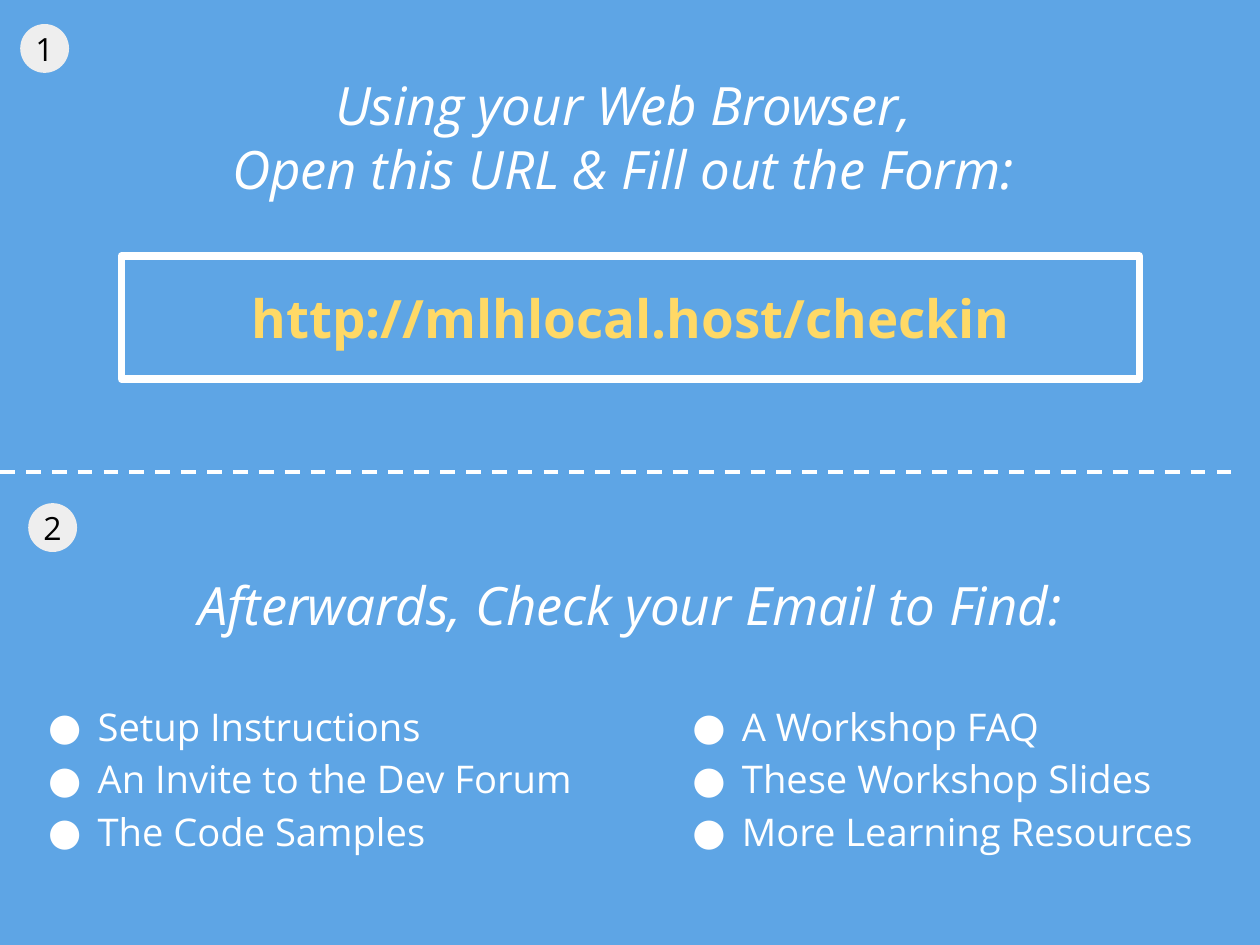
from lxml.etree import SubElement
from pptx import Presentation
from pptx.dml.color import RGBColor
from pptx.enum.dml import MSO_LINE
from pptx.enum.shapes import MSO_CONNECTOR, MSO_SHAPE
from pptx.enum.text import MSO_ANCHOR, MSO_AUTO_SIZE, PP_ALIGN
from pptx.oxml.ns import qn
from pptx.util import Cm, Pt

BLUE, WHITE, YELLOW, GREY, BLACK = "5EA5E5", "FFFFFF", "FFD966", "EEEEEE", "000000"
SLIDE_WIDTH, SLIDE_HEIGHT = 36.12, 27.1
MARGIN, HEADING_WIDTH, HEADING_HEIGHT = 0.64, 34.85, 3.3
LIST_TOP, LIST_WIDTH, LIST_HEIGHT = 18.95, 16.38, 6.55
BADGE_SIZE = 1.4

OPEN_FORM = ["Using your Web Browser, ", "Open this URL & Fill out the Form: "]
CHECK_EMAIL = ["Afterwards, Check your Email to Find:"]
FORM_URL = ["http://mlhlocal.host/checkin"]
EMAIL_CONTENTS = [
    ["Setup Instructions", "An Invite to the Dev Forum", "The Code Samples"],
    ["A Workshop FAQ", "These Workshop Slides", "More Learning Resources"],
]
BADGES = [("1", 0.58, 0.69), ("2", 0.81, 14.43)]


def color(value):
    return RGBColor.from_string(value)


def add_bullet(paragraph):
    paragraph.line_spacing = 1.15
    properties = paragraph._p.get_or_add_pPr()
    properties.set("marL", str(Cm(1.8)))
    properties.set("indent", str(Cm(-1.42)))
    bullet_color = SubElement(properties, qn("a:buClr"))
    SubElement(bullet_color, qn("a:srgbClr"), val=WHITE)
    SubElement(properties, qn("a:buFont"), typeface="Open Sans")
    SubElement(properties, qn("a:buChar"), char="●")


def write(shape, lines, size=43, fill=WHITE, bold=False, italic=False,
          align=PP_ALIGN.CENTER, bullets=False, inset=0.36):
    frame = shape.text_frame
    frame.auto_size = MSO_AUTO_SIZE.NONE
    frame.word_wrap = True
    frame.vertical_anchor = MSO_ANCHOR.MIDDLE
    frame.margin_left = frame.margin_right = Cm(inset)
    frame.margin_top = frame.margin_bottom = Cm(inset)
    for index, line in enumerate(lines):
        paragraph = frame.add_paragraph() if index else frame.paragraphs[0]
        paragraph.alignment = align
        if bullets:
            add_bullet(paragraph)
        run = paragraph.add_run()
        run.text = line
        run.font.name = "Open Sans"
        run.font.size = Pt(size)
        run.font.bold = bold
        run.font.italic = italic
        run.font.color.rgb = color(fill)


def add_filled_shape(slide, kind, left, top, width, height, fill):
    shape = slide.shapes.add_shape(kind, Cm(left), Cm(top), Cm(width), Cm(height))
    shape.shadow.inherit = False
    shape.fill.solid()
    shape.fill.fore_color.rgb = color(fill)
    shape.line.fill.background()
    return shape


def add_text_box(slide, left, top, width, height):
    return slide.shapes.add_textbox(Cm(left), Cm(top), Cm(width), Cm(height))


def main():
    presentation = Presentation()
    presentation.slide_width = Cm(SLIDE_WIDTH)
    presentation.slide_height = Cm(SLIDE_HEIGHT)
    slide = presentation.slides.add_slide(presentation.slide_layouts[5])
    slide.background.fill.solid()
    slide.background.fill.fore_color.rgb = color(BLUE)

    title = slide.shapes.title
    title.left, title.top = Cm(MARGIN), Cm(2.26)
    title.width, title.height = Cm(HEADING_WIDTH), Cm(HEADING_HEIGHT)
    write(title, OPEN_FORM, italic=True)

    url_box = add_filled_shape(slide, MSO_SHAPE.RECTANGLE, 3.48, 7.34, 29.18, 3.53, BLUE)
    url_box.line.color.rgb = color(WHITE)
    url_box.line.width = Pt(6)
    SubElement(url_box.line._get_or_add_ln(), qn("a:round"))
    write(url_box, FORM_URL, fill=YELLOW, bold=True)

    divider = slide.shapes.add_connector(
        MSO_CONNECTOR.STRAIGHT, Cm(0), Cm(13.54), Cm(35.31), Cm(13.54))
    divider.line.color.rgb = color(WHITE)
    divider.line.width = Pt(3)
    divider.line.dash_style = MSO_LINE.DASH
    SubElement(divider._element.spPr, qn("a:effectLst"))

    heading = add_text_box(slide, MARGIN, 15.67, HEADING_WIDTH, HEADING_HEIGHT)
    write(heading, CHECK_EMAIL, italic=True)

    column_step = HEADING_WIDTH - LIST_WIDTH
    for column, items in enumerate(EMAIL_CONTENTS):
        left = MARGIN + column * column_step
        list_box = add_text_box(slide, left, LIST_TOP, LIST_WIDTH, LIST_HEIGHT)
        write(list_box, items, size=31, align=PP_ALIGN.LEFT, bullets=True)

    for number, left, top in BADGES:
        badge = add_filled_shape(slide, MSO_SHAPE.OVAL, left, top, BADGE_SIZE, BADGE_SIZE, GREY)
        write(badge, [number], size=26, fill=BLACK, inset=0)

    presentation.save("out.pptx")


if __name__ == "__main__":
    main()
